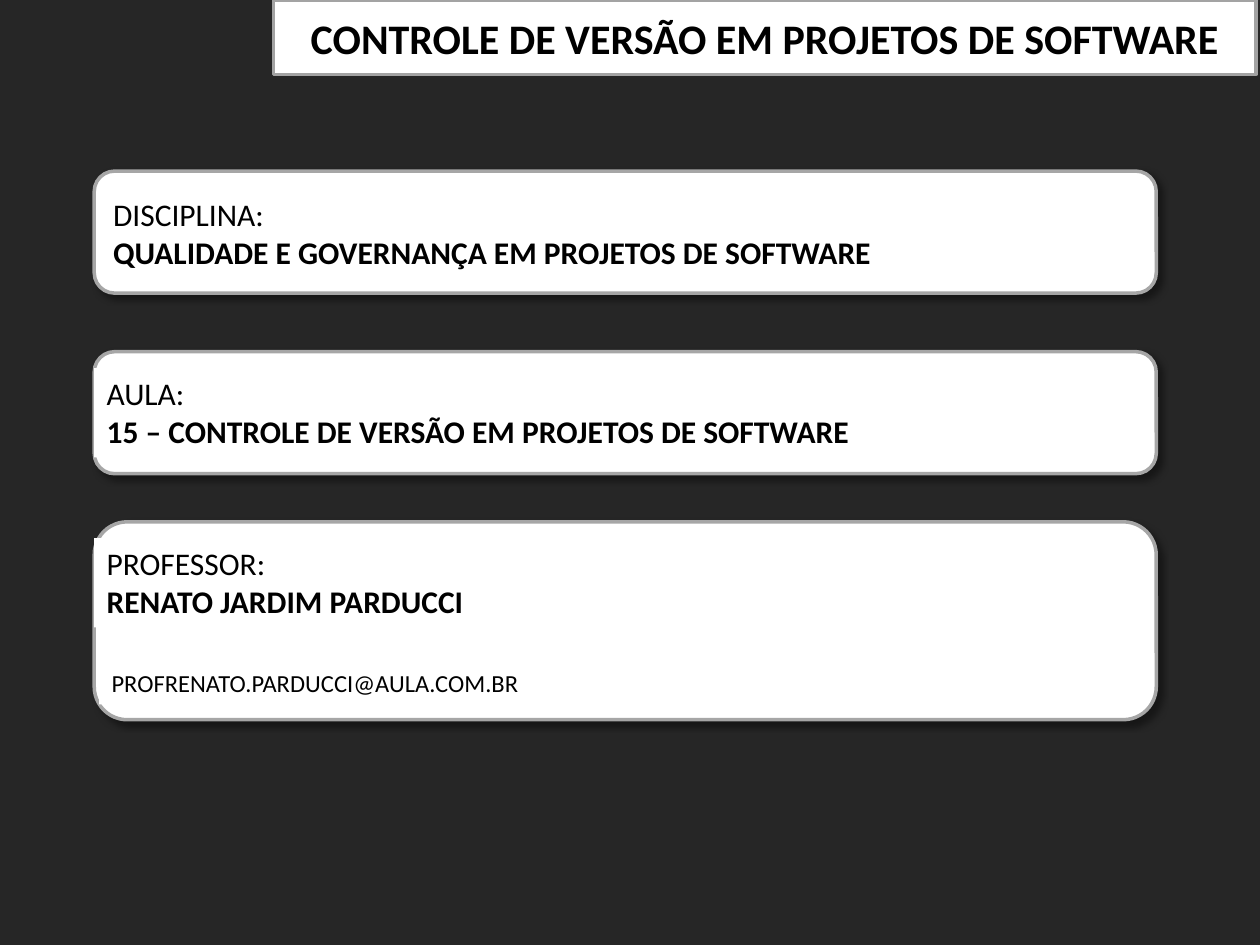
from dataclasses import dataclass

from lxml.etree import SubElement
from pptx import Presentation
from pptx.dml.color import RGBColor
from pptx.enum.shapes import MSO_SHAPE
from pptx.enum.text import MSO_ANCHOR, MSO_AUTO_SIZE, PP_ALIGN
from pptx.oxml.ns import qn
from pptx.util import Cm, Pt

WHITE = "FFFFFF"
BLACK = "000000"
BACKGROUND = "262626"
TITLE_BORDER = "A3A3A3"
CARD_BORDER = "A6A6A6"
CARD_LEFT = 1.9
CARD_WIDTH = 21.41


@dataclass
class Card:
    top: float
    height: float


@dataclass
class Label:
    left: float
    top: float
    width: float
    height: float
    lines: list[str]
    size: int = 18


CARDS = [Card(3.45, 2.46), Card(7.09, 2.46), Card(10.52, 3.99)]
LABELS = [
    Label(2.03, 3.81, 15.95, 1.8,
          ["DISCIPLINA:", "QUALIDADE E GOVERNANÇA EM PROJETOS DE SOFTWARE"]),
    Label(1.9, 7.42, 15.62, 1.8,
          ["AULA:", "15 – CONTROLE DE VERSÃO EM PROJETOS DE SOFTWARE"]),
    Label(1.9, 10.85, 8.2, 1.8, ["PROFESSOR:", "RENATO JARDIM PARDUCCI"]),
    Label(2.0, 13.34, 8.8, 0.86, ["PROFRENATO.PARDUCCI@AULA.COM.BR"], 14),
]


def paint(color_format, color: str) -> None:
    color_format.rgb = RGBColor.from_string(color)


def fill_with(fill, color: str) -> None:
    fill.solid()
    paint(fill.fore_color, color)


def style_box(shape, border: str) -> None:
    fill_with(shape.fill, WHITE)
    paint(shape.line.color, border)
    shape.line.width = Pt(2)


def style_font(paragraph, size: int, bold: bool) -> None:
    paragraph.font.name = "Calibri"
    paragraph.font.size = Pt(size)
    paragraph.font.bold = bold
    paint(paragraph.font.color, BLACK)


def add_shadow(shape) -> None:
    shape.shadow.inherit = False
    effects = shape.element.spPr.find(qn("a:effectLst"))
    shadow = SubElement(effects, qn("a:outerShdw"), blurRad=str(Pt(4)),
                        dist=str(Pt(3)), dir="2700000", algn="tl",
                        rotWithShape="0")
    color = SubElement(shadow, qn("a:srgbClr"), val=BLACK)
    SubElement(color, qn("a:alpha"), val="40000")


def draw_title(slide, text: str) -> None:
    title = slide.shapes.title
    title.left, title.top = Cm(5.51), Cm(0)
    title.width, title.height = Cm(19.81), Cm(1.5)
    style_box(title, TITLE_BORDER)
    frame = title.text_frame
    frame.text = text
    frame.auto_size = MSO_AUTO_SIZE.NONE
    frame.vertical_anchor = MSO_ANCHOR.MIDDLE
    paragraph = frame.paragraphs[0]
    paragraph.alignment = PP_ALIGN.CENTER
    style_font(paragraph, 24, True)


def draw_card(slide, card: Card) -> None:
    shape = slide.shapes.add_shape(
        MSO_SHAPE.ROUNDED_RECTANGLE, Cm(CARD_LEFT), Cm(card.top),
        Cm(CARD_WIDTH), Cm(card.height))
    style_box(shape, CARD_BORDER)
    add_shadow(shape)


def draw_label(slide, label: Label) -> None:
    box = slide.shapes.add_textbox(
        Cm(label.left), Cm(label.top), Cm(label.width), Cm(label.height))
    fill_with(box.fill, WHITE)
    frame = box.text_frame
    frame.word_wrap = True
    frame.text = "\n".join(label.lines)
    for index, paragraph in enumerate(frame.paragraphs):
        style_font(paragraph, label.size, index > 0)


def main() -> None:
    presentation = Presentation()
    presentation.slide_width, presentation.slide_height = Cm(25.4), Cm(19.05)
    slide = presentation.slides.add_slide(presentation.slide_layouts[5])
    fill_with(slide.background.fill, BACKGROUND)
    draw_title(slide, "CONTROLE DE VERSÃO EM PROJETOS DE SOFTWARE")
    for card in CARDS:
        draw_card(slide, card)
    for label in LABELS:
        draw_label(slide, label)
    presentation.save("out.pptx")


if __name__ == "__main__":
    main()
